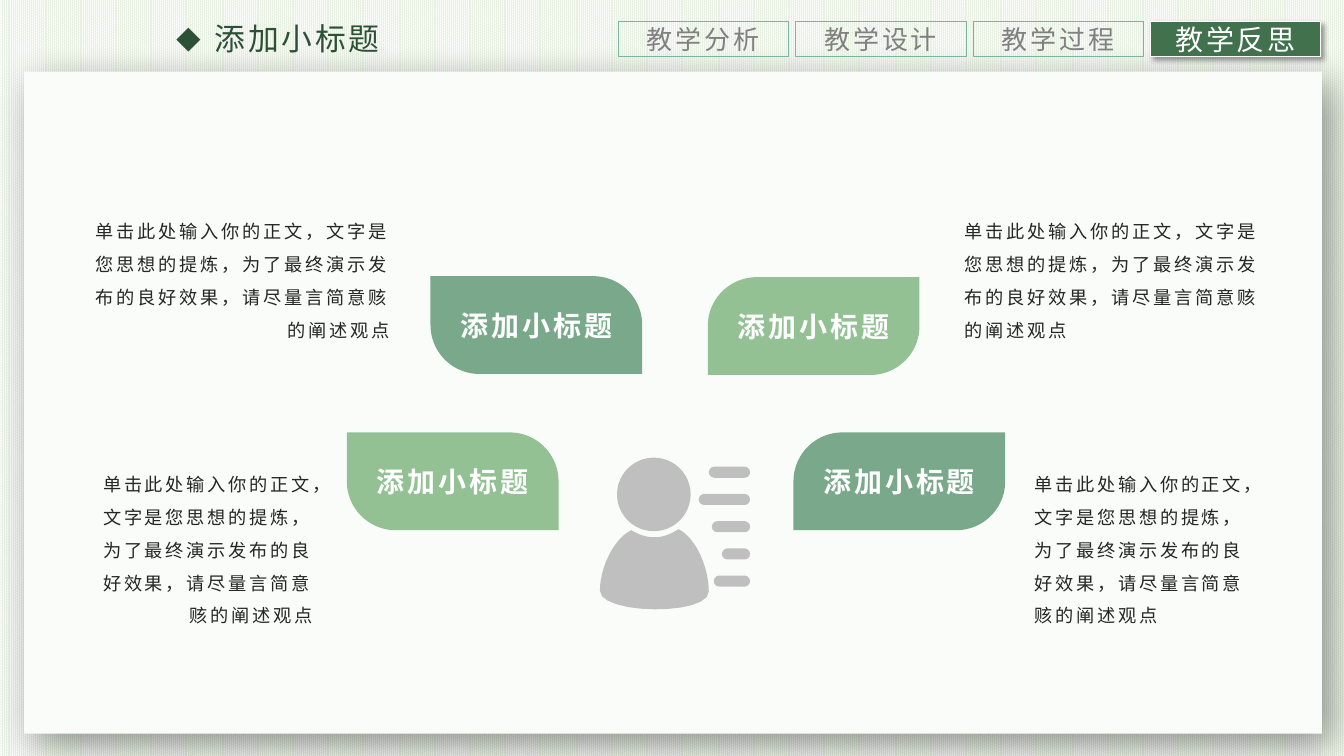
from lxml import etree
from pptx import Presentation
from pptx import util as u
from pptx.dml.color import RGBColor
from pptx.enum import dml, shapes, text
from pptx.oxml import ns

# Content
HEADING = "添加小标题"
TABS = ["教学分析", "教学设计", "教学过程", "教学反思"]
CURRENT_TAB = "教学反思"
BODY = "单击此处输入你的正文，文字是您思想的提炼，为了最终演示发布的良好效果，请尽量言简意赅的阐述观点"
# label, leaf (left, top), leaf colour, body box (left, top, width, height), on left side
TOPICS = [
    (HEADING, (4.27, 2.74), "sage", (0.76, 2.03, 3.2, 1.41), True),
    (HEADING, (3.44, 4.29), "leaf", (0.78, 4.54, 2.42, 1.74), True),
    (HEADING, (7.02, 2.75), "leaf", (9.47, 2.03, 3.2, 1.41), False),
    (HEADING, (7.87, 4.29), "sage", (10.16, 4.54, 2.42, 1.74), False),
]

# Style and grid
FONT = "Noto Sans CJK SC"
COLORS = {"stripe": "E8F1E3", "white": "FFFFFF", "panel": "FAFCF9", "border": "77B79F",
          "muted": "808080", "active": "41724D", "heading": "2D5137", "sage": "79A98A",
          "leaf": "93C194", "ink": "262626", "icon": "BFBFBF", "shadow": "000000"}
SLIDE_W, SLIDE_H = 13.33, 7.5
TAB_LEFT, TAB_TOP, TAB_W, TAB_H, TAB_PITCH = 6.13, 0.21, 1.69, 0.35, 1.76
LEAF_W, LEAF_H = 2.1, 0.97

# Person icon: list bars share a right edge, the body is a chain of curves
BAR_LEFTS = [7.03, 6.93, 7.06, 7.16, 7.08]
BAR_RIGHT, BAR_TOP, BAR_H, BAR_PITCH = 7.44, 4.63, 0.11, 0.27
HEAD = (6.12, 4.54, 0.73, 0.73)
BODY_START = (5.95, 5.86)
BODY_CURVES = [
    [(5.95, 5.64), (6.08, 5.35), (6.26, 5.26)],
    [(6.33, 5.3), (6.4, 5.33), (6.49, 5.33)],
    [(6.58, 5.33), (6.65, 5.3), (6.73, 5.25)],
    [(6.91, 5.34), (7.03, 5.64), (7.03, 5.87)],
    [(7.03, 6.11), (5.95, 6.1), (5.95, 5.86)],
]


def rgb(name):
    return RGBColor.from_string(COLORS[name])


def inches(box):
    return [u.Inches(length) for length in box]


def write(shape, words, size, color, bold=False, align=text.PP_ALIGN.LEFT,
          anchor=text.MSO_ANCHOR.TOP, spacing=1.0, bullet=None, indent=0):
    frame = shape.text_frame
    frame.word_wrap = True
    frame.auto_size = text.MSO_AUTO_SIZE.NONE
    frame.vertical_anchor = anchor
    paragraph = frame.paragraphs[0]
    paragraph.alignment = align
    paragraph.line_spacing = spacing
    if bullet:
        props = paragraph._p.get_or_add_pPr()
        props.set("marL", str(u.Inches(indent)))
        props.set("indent", str(-u.Inches(indent)))
        etree.SubElement(props, ns.qn("a:buSzPct")).set("val", "80000")
        etree.SubElement(props, ns.qn("a:buFont")).set("typeface", FONT)
        etree.SubElement(props, ns.qn("a:buChar")).set("char", bullet)
    run = paragraph.add_run()
    run.text = words
    run.font.name, run.font.size, run.font.bold = FONT, u.Pt(size), bold
    run.font.color.rgb = rgb(color)
    run_props = run._r.get_or_add_rPr()
    run_props.set("spc", "200")
    etree.SubElement(run_props, ns.qn("a:ea")).set("typeface", FONT)


def paint(shape, fill=None, line=None):
    shape.shadow.inherit = False
    if fill:
        shape.fill.solid()
        shape.fill.fore_color.rgb = rgb(fill)
    else:
        shape.fill.background()
    if line:
        shape.line.color.rgb = rgb(line)
        shape.line.width = u.Pt(0.5)
    else:
        shape.line.fill.background()
    return shape


def add_block(slide, preset, box, fill=None, line=None):
    return paint(slide.shapes.add_shape(preset, *inches(box)), fill, line)


def cast_shadow(shape, blur, distance, angle, opacity=40):
    effects = shape._element.spPr.find(ns.qn("a:effectLst"))
    shadow = etree.SubElement(effects, ns.qn("a:outerShdw"), blurRad=str(u.Pt(blur)),
                              dist=str(u.Pt(distance)), dir=str(angle * 60000),
                              algn="tl", rotWithShape="0")
    color = etree.SubElement(shadow, ns.qn("a:srgbClr"), val=COLORS["shadow"])
    etree.SubElement(color, ns.qn("a:alpha"), val=str(opacity * 1000))


def curve_points(start, curves, steps=12):
    points = [start]
    for b, c, d in curves:
        for step in range(1, steps + 1):
            t = step / steps
            weights = ((1 - t) ** 3, 3 * t * (1 - t) ** 2, 3 * t * t * (1 - t), t ** 3)
            points.append(tuple(sum(w * p[axis] for w, p in zip(weights, (start, b, c, d)))
                                for axis in (0, 1)))
        start = d
    return points


def add_frame(slide):
    backdrop = slide.background.fill
    backdrop.patterned()
    backdrop.pattern = dml.MSO_PATTERN.PERCENT_90
    backdrop.fore_color.rgb = rgb("stripe")
    backdrop.back_color.rgb = rgb("white")
    panel = add_block(slide, shapes.MSO_SHAPE.RECTANGLE, (0.24, 0.71, 12.87, 6.57), "panel")
    cast_shadow(panel, blur=28, distance=12, angle=49)

    title = slide.shapes.title
    title.left, title.top, title.width, title.height = inches((1.65, 0.15, 2.57, 0.47))
    write(title, HEADING, 22, "heading", bullet="◆", indent=0.38)


def add_tabs(slide):
    for column, name in enumerate(TABS):
        active = name == CURRENT_TAB
        box = (TAB_LEFT + column * TAB_PITCH, TAB_TOP, TAB_W, TAB_H)
        tab = add_block(slide, shapes.MSO_SHAPE.RECTANGLE, box,
                        "active" if active else None, "white" if active else "border")
        if active:
            cast_shadow(tab, blur=4, distance=3, angle=45)
        write(tab, name, 20 if active else 18.6, "white" if active else "muted",
              align=text.PP_ALIGN.CENTER, anchor=text.MSO_ANCHOR.MIDDLE)


def add_topics(slide):
    for label, corner, color, body_box, on_left in TOPICS:
        leaf = add_block(slide, shapes.MSO_SHAPE.ROUND_2_DIAG_RECTANGLE,
                         (*corner, LEAF_W, LEAF_H), color)
        # The rounded diagonal mirrors between the two sides
        leaf.adjustments[0], leaf.adjustments[1] = (0, 0.5) if on_left else (0.5, 0)
        write(leaf, label, 20, "white", bold=True, align=text.PP_ALIGN.CENTER,
              anchor=text.MSO_ANCHOR.MIDDLE)
        write(slide.shapes.add_textbox(*inches(body_box)), BODY, 13, "ink", spacing=1.5,
              align=text.PP_ALIGN.RIGHT if on_left else text.PP_ALIGN.LEFT)


def add_person(slide):
    for row, left in enumerate(BAR_LEFTS):
        box = (left, BAR_TOP + row * BAR_PITCH, BAR_RIGHT - left, BAR_H)
        bar = add_block(slide, shapes.MSO_SHAPE.ROUNDED_RECTANGLE, box, "icon")
        bar.adjustments[0] = 0.5
    add_block(slide, shapes.MSO_SHAPE.OVAL, HEAD, "icon")
    # Freeform points are whole numbers, so the outline is given in EMU
    start, *rest = [inches(point) for point in curve_points(BODY_START, BODY_CURVES)]
    outline = slide.shapes.build_freeform(*start)
    outline.add_line_segments(rest)
    paint(outline.convert_to_shape(), "icon")


def main():
    deck = Presentation()
    deck.slide_width, deck.slide_height = inches((SLIDE_W, SLIDE_H))
    slide = deck.slides.add_slide(deck.slide_layouts[5])
    add_frame(slide)
    add_tabs(slide)
    add_topics(slide)
    add_person(slide)
    deck.save("out.pptx")


if __name__ == "__main__":
    main()
